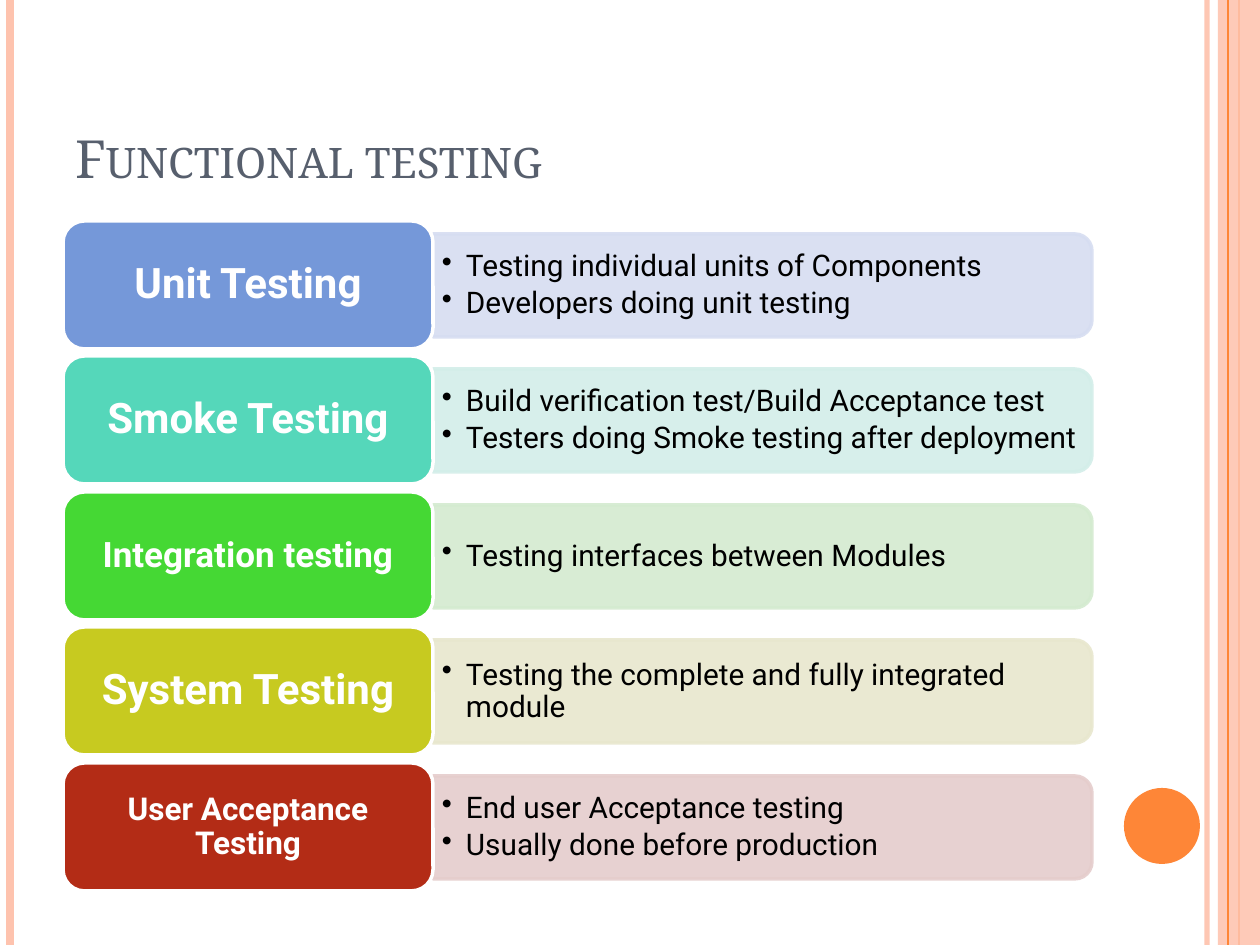
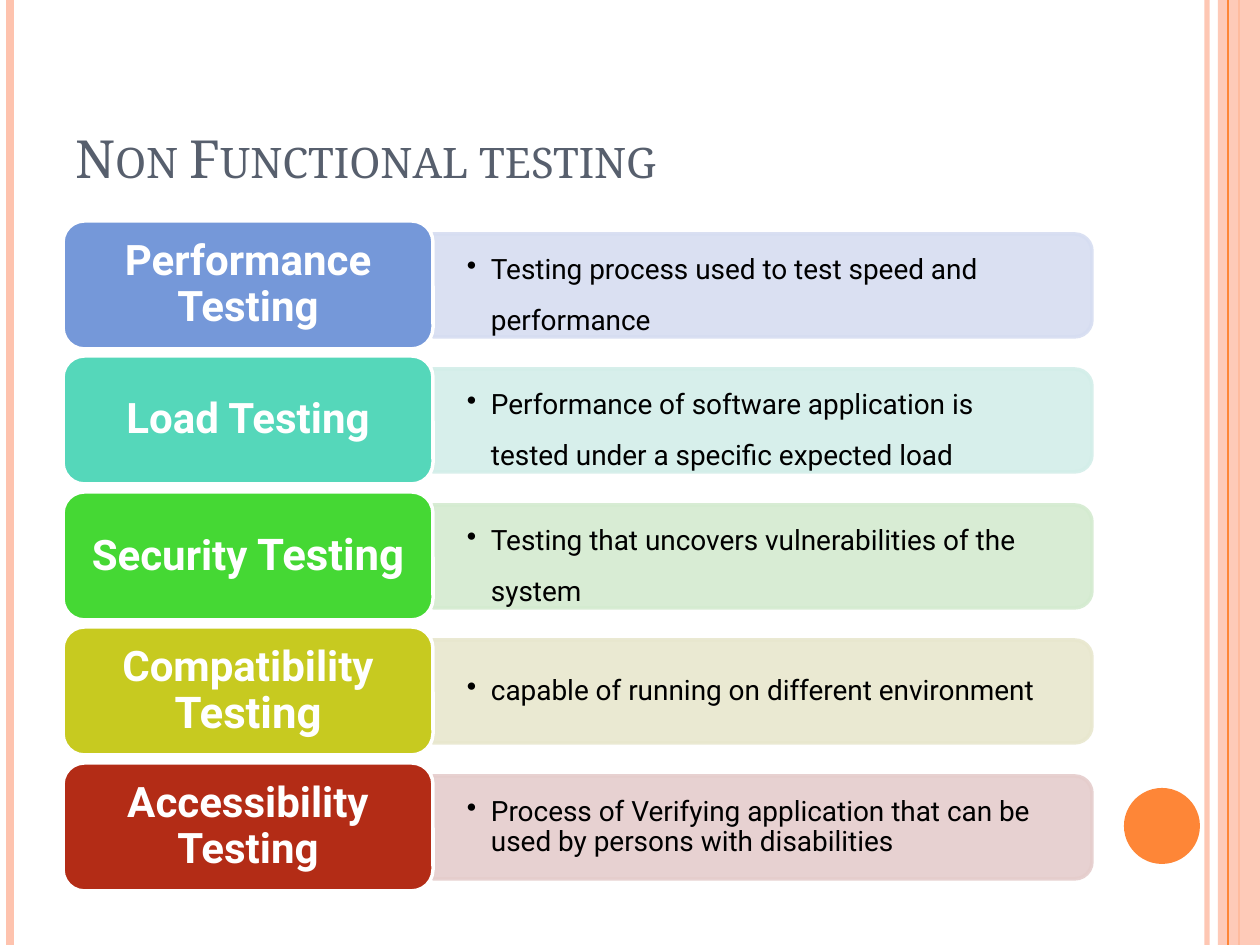
from lxml import etree
from pptx import Presentation
from pptx.dml.color import RGBColor
from pptx.enum.shapes import MSO_CONNECTOR, MSO_SHAPE
from pptx.enum.text import MSO_ANCHOR, PP_ALIGN
from pptx.oxml.ns import qn
from pptx.util import Pt

RECT, OVAL = MSO_SHAPE.RECTANGLE, MSO_SHAPE.OVAL
ROUND, ROUND_TOP = MSO_SHAPE.ROUNDED_RECTANGLE, MSO_SHAPE.ROUND_2_SAME_RECTANGLE
STRAIGHT = MSO_CONNECTOR.STRAIGHT
MIDDLE, BOTTOM = MSO_ANCHOR.MIDDLE, MSO_ANCHOR.BOTTOM
LEFT, CENTER = PP_ALIGN.LEFT, PP_ALIGN.CENTER

SCALE = 914400 / 126
WIDTH, HEIGHT = 1260, 945
SERIF, SANS = "Noto Serif", "Roboto"
PEACH, ORANGE, SLATE, WHITE, BLACK = "FEC3AE", "FE8637", "575F6D", "FFFFFF", "000000"
ROW_COLORS = [("7598D9", "D6DDF1"), ("55D7BA", "D3EEE9"), ("45D834", "D4EBD0"),
              ("C7CA20", "E8E7CE"), ("B32C16", "E5CDCC")]
ROW_TOP, ROW_PITCH = 221, 135.5
TIGHT, WIDE = (9, 5), (34, 18)


def px(n):
    return round(n * SCALE)


def rgb(color):
    return RGBColor.from_string(color)


class Deck:
    """Holds the shared style and the slide being drawn."""

    def __init__(self):
        self.prs = Presentation()
        self.prs.slide_width, self.prs.slide_height = px(WIDTH), px(HEIGHT)

    def slide(self, title):
        self.s = self.prs.slides.add_slide(self.prs.slide_layouts[6])
        self.rule(1207, PEACH, 3, 93)
        self.rule(10, PEACH, 4.5)
        self.rule(1239, ORANGE, 1.5)
        self.shape(RECT, (1218, 0, 42, HEIGHT), PEACH, alpha=87)
        self.rule(1228, ORANGE, 0.75)
        self.shape(OVAL, (1124, 788, 76, 76), ORANGE)
        p = self.text((63, 38, 1029, 157), [[(title, 30)]], SLATE, SERIF,
                      anchor=BOTTOM)[0]
        p.runs[0].font._element.set("cap", "small")

    def fade(self, sp, alpha):
        for clr in sp._element.spPr.iter(qn("a:srgbClr")):
            etree.SubElement(clr, qn("a:alpha"), val=str(alpha * 1000))

    def rule(self, x, color, width, alpha=None):
        sp = self.s.shapes.add_connector(STRAIGHT, px(x), 0, px(x), px(HEIGHT))
        sp.line.color.rgb = rgb(color)
        sp.line.width = Pt(width)
        etree.SubElement(sp._element.spPr, qn("a:effectLst"))
        if alpha:
            self.fade(sp, alpha)

    def shape(self, kind, box, fill, line=None, alpha=None):
        sp = self.s.shapes.add_shape(kind, *map(px, box))
        sp.shadow.inherit = False
        sp.fill.solid()
        sp.fill.fore_color.rgb = rgb(fill)
        if line:
            sp.line.color.rgb = rgb(line)
            sp.line.width = Pt(2)
        else:
            sp.line.fill.background()
        if alpha:
            self.fade(sp, alpha)
        return sp

    def text(self, box, paragraphs, color, font=SANS, bold=False, align=LEFT,
             anchor=MIDDLE, inset=(12, 6), spacing=None):
        tf = self.s.shapes.add_textbox(*map(px, box)).text_frame
        tf.word_wrap = True
        tf.vertical_anchor = anchor
        tf.margin_left = tf.margin_right = px(inset[0])
        tf.margin_top = tf.margin_bottom = px(inset[1])
        for i, runs in enumerate(paragraphs):
            p = tf.paragraphs[0] if i == 0 else tf.add_paragraph()
            p.alignment = align
            if spacing:
                p.line_spacing = spacing
            for words, size in runs:
                r = p.add_run()
                r.text = words
                r.font.name, r.font.size, r.font.bold = font, Pt(size), bold
                r.font.color.rgb = rgb(color)
        return tf.paragraphs

    def bullets(self, box, items, size, inset, spacing):
        for p in self.text(box, [[(item, size)] for item in items], BLACK,
                           inset=inset, spacing=spacing):
            p.space_after = Pt(3)
            pPr = p._p.get_or_add_pPr()
            pPr.set("marL", str(px(24)))
            pPr.set("indent", str(-px(24)))
            etree.SubElement(pPr, qn("a:buChar"), char="•")

    def row(self, i, label, items, size, inset, spacing):
        strong, pale = ROW_COLORS[i]
        top = int(ROW_TOP + i * ROW_PITCH)
        w, h = 659, 103
        shift = (w - h) // 2
        band = self.shape(ROUND_TOP, (433 + shift, top + 13 - shift, h, w), pale, pale, 90)
        band.rotation = 90
        self.bullets((433, top + 18, 654, 93), items, size, inset, spacing)
        self.shape(ROUND, (63, top, 370, 128), strong, WHITE)
        self.text((69, top + 6, 358, 116), [label], WHITE, bold=True, align=CENTER,
                  inset=(11, 6), spacing=0.9)


FUNCTIONAL = [
    ([("Unit Testing", 24)],
     ["Testing individual units of Components", "Developers doing unit testing"]),
    ([("Smoke Testing", 24)],
     ["Build verification test/Build Acceptance test",
      "Testers doing Smoke testing after deployment"]),
    ([("Integration testing", 20)], ["Testing interfaces between Modules"]),
    ([("System Testing", 24)], ["Testing the complete and fully integrated module"]),
    ([("User Acceptance Testing", 18)],
     ["End user Acceptance testing", "Usually done before production"]),
]
NON_FUNCTIONAL = [
    ([("Performance Testing", 24)],
     "Testing process used to test speed and performance", 1.5),
    ([("Load Testing", 24)],
     "Performance of software application is tested under a specific expected load", 1.5),
    ([("Security", 24), (" Testing", 25)],
     "Testing\u00a0that uncovers vulnerabilities of the system", 1.5),
    ([("Compatibility", 24), (" Testing", 25)],
     "capable of running on different environment", 0.9),
    ([("Accessibility Testing", 24)],
     "Process of Verifying application that can be used by persons with disabilities", 0.9),
]

deck = Deck()
deck.slide("Functional testing")
for i, (label, items) in enumerate(FUNCTIONAL):
    deck.row(i, label, items, 17, TIGHT, 0.9)

deck.slide("Non Functional testing")
for i, (label, item, spacing) in enumerate(NON_FUNCTIONAL):
    deck.row(i, label, [item], 16, WIDE, spacing)

deck.prs.save("out.pptx")
